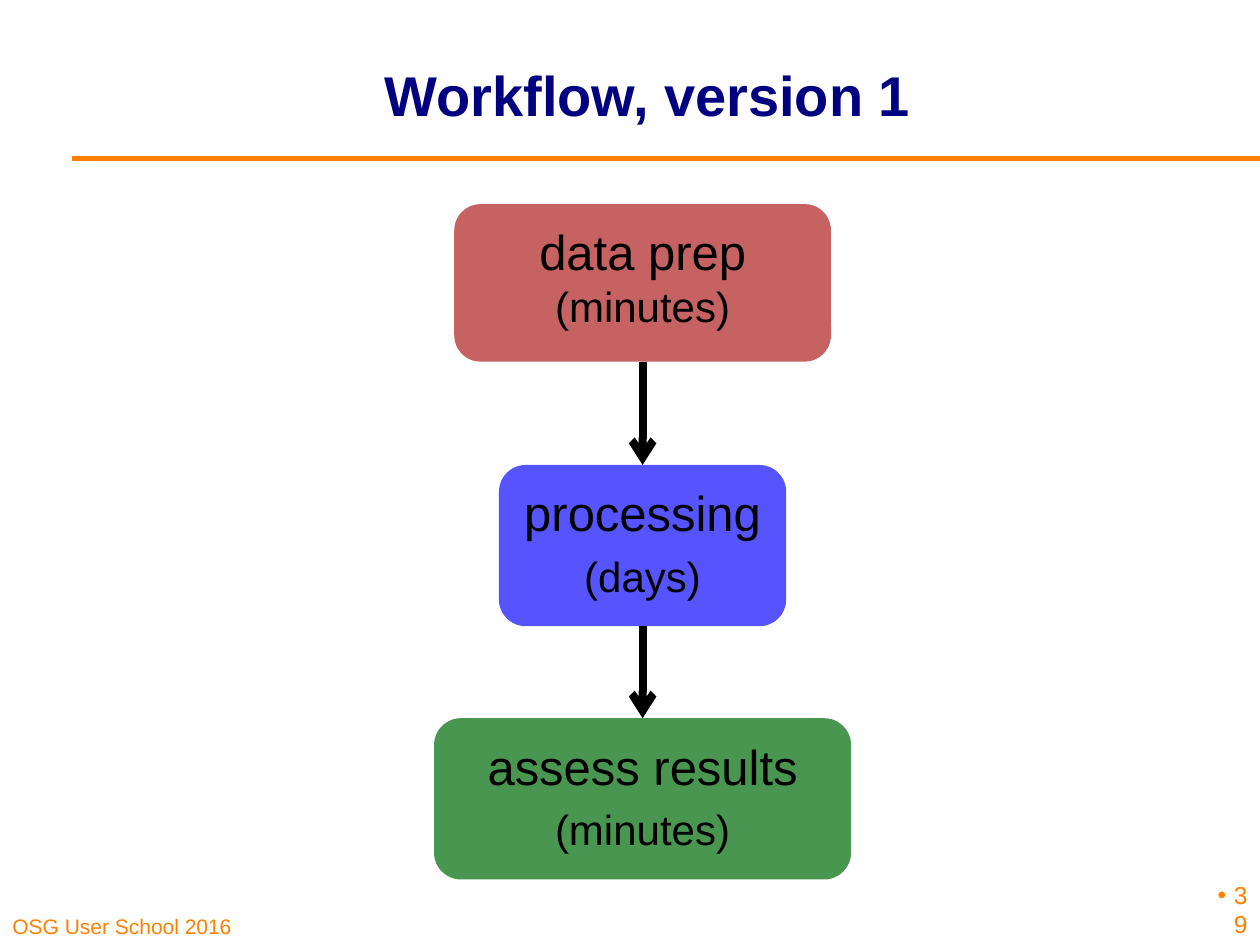
import pptx
import pptx.dml.color
import pptx.enum.shapes
import pptx.enum.text
import pptx.oxml.ns
import pptx.util
from lxml import etree

ALIGN = pptx.enum.text.PP_ALIGN
ANCHOR = pptx.enum.text.MSO_ANCHOR
STRAIGHT = pptx.enum.shapes.MSO_CONNECTOR.STRAIGHT
COLUMNS, ROWS = 100, 75
BOTTOM_SIDE, TOP_SIDE = 2, 0


def color(hex_string):
    return pptx.dml.color.RGBColor.from_string(hex_string)


def add_element(parent, tag, **attributes):
    return etree.SubElement(parent, pptx.oxml.ns.qn(tag), attributes)


class WorkflowSlide:
    font = "Arial"
    orange, navy, black = "FF8000", "000080", "000000"

    def __init__(self, presentation):
        self.column = presentation.slide_width / COLUMNS
        self.row = presentation.slide_height / ROWS
        self.slide = presentation.slides.add_slide(presentation.slide_layouts[5])

    def place(self, *cells):
        """Turn (column, row, column, row) into slide lengths."""
        units = (self.column, self.row) * 2
        return [round(cell * unit) for cell, unit in zip(cells, units)]

    def add_text(self, paragraph, text, size, hex_string, align, bold=False):
        paragraph.alignment = align
        run = paragraph.add_run()
        run.text = text
        run.font.name = self.font
        run.font.size = pptx.util.Pt(size)
        run.font.bold = bold
        run.font.color.rgb = color(hex_string)

    def title(self, text, cells):
        shape = self.slide.shapes.title
        shape.left, shape.top, shape.width, shape.height = self.place(*cells)
        shape.text_frame.vertical_anchor = ANCHOR.MIDDLE
        self.add_text(shape.text_frame.paragraphs[0], text, 32, self.navy, ALIGN.CENTER, True)

    def corner_text(self, text, cells, size, align, bullet_indent=None):
        frame = self.slide.shapes.add_textbox(*self.place(*cells)).text_frame
        frame.word_wrap = True
        frame.vertical_anchor = ANCHOR.BOTTOM
        paragraph = frame.paragraphs[0]
        if bullet_indent:
            indent = pptx.util.Inches(bullet_indent)
            properties = paragraph._p.get_or_add_pPr()
            properties.set("marL", str(indent))
            properties.set("indent", str(-indent))
            add_element(properties, "a:buFont", typeface=self.font)
            add_element(properties, "a:buChar", char="•")
        self.add_text(paragraph, text, size, self.orange, align)

    def step(self, center, top, width, height, fill, paragraphs):
        """Draw a rounded box; each paragraph is a list of (text, size) runs."""
        shape = self.slide.shapes.add_shape(
            pptx.enum.shapes.MSO_SHAPE.ROUNDED_RECTANGLE,
            *self.place(center - width / 2, top, width, height))
        shape.shadow.inherit = False
        shape.fill.solid()
        shape.fill.fore_color.rgb = color(fill)
        shape.line.fill.background()
        frame = shape.text_frame
        frame.word_wrap = True
        frame.vertical_anchor = ANCHOR.TOP
        frame.margin_top = pptx.util.Inches(0.08)
        for index, runs in enumerate(paragraphs):
            paragraph = frame.add_paragraph() if index else frame.paragraphs[0]
            if index:
                paragraph.space_before = pptx.util.Pt(5)
            for text, size in runs:
                self.add_text(paragraph, text, size, self.black, ALIGN.CENTER)
        return shape

    def line(self, cells, hex_string, width):
        connector = self.slide.shapes.add_connector(STRAIGHT, *self.place(*cells))
        connector.line.color.rgb = color(hex_string)
        connector.line.width = pptx.util.Pt(width)
        add_element(connector._element.spPr, "a:effectLst")
        return connector

    def arrow(self, source, target):
        connector = self.line((0, 0, 0, 0), self.black, 4.5)
        connector.begin_connect(source, BOTTOM_SIDE)
        connector.end_connect(target, TOP_SIDE)
        outline = connector._element.spPr.find(pptx.oxml.ns.qn("a:ln"))
        add_element(outline, "a:tailEnd", type="arrow")


def main():
    presentation = pptx.Presentation()
    presentation.slide_width = pptx.util.Inches(10)
    presentation.slide_height = pptx.util.Inches(7.5)
    page = WorkflowSlide(presentation)

    # Title, rule and footer
    page.corner_text("OSG User School 2016", (0, 70.8, 24.8, 4.2), 12, ALIGN.LEFT)
    page.line((5.7, 12.6, 100, 12.6), page.orange, 3)
    page.title("Workflow, version 1", (13.4, 1.2, 76, 12.5))
    page.corner_text("39", (95.4, 70, 4.6, 5), 14, ALIGN.RIGHT, bullet_indent=0.13)

    # Workflow steps: top, width, height, fill, paragraphs
    steps = [
        (16.2, 29.9, 12.5, "C66262", [[("data prep ", 28), ("(minutes)", 24)]]),
        (36.9, 22.8, 12.8, "5554FF", [[("processing", 28)], [("(days)", 24)]]),
        (57, 33.1, 12.8, "48964F", [[("assess results", 28)], [("(minutes)", 24)]]),
    ]
    boxes = [page.step(51, *step) for step in steps]

    # Arrows between neighbouring steps
    for source, target in zip(boxes, boxes[1:]):
        page.arrow(source, target)

    presentation.save("out.pptx")


if __name__ == "__main__":
    main()
